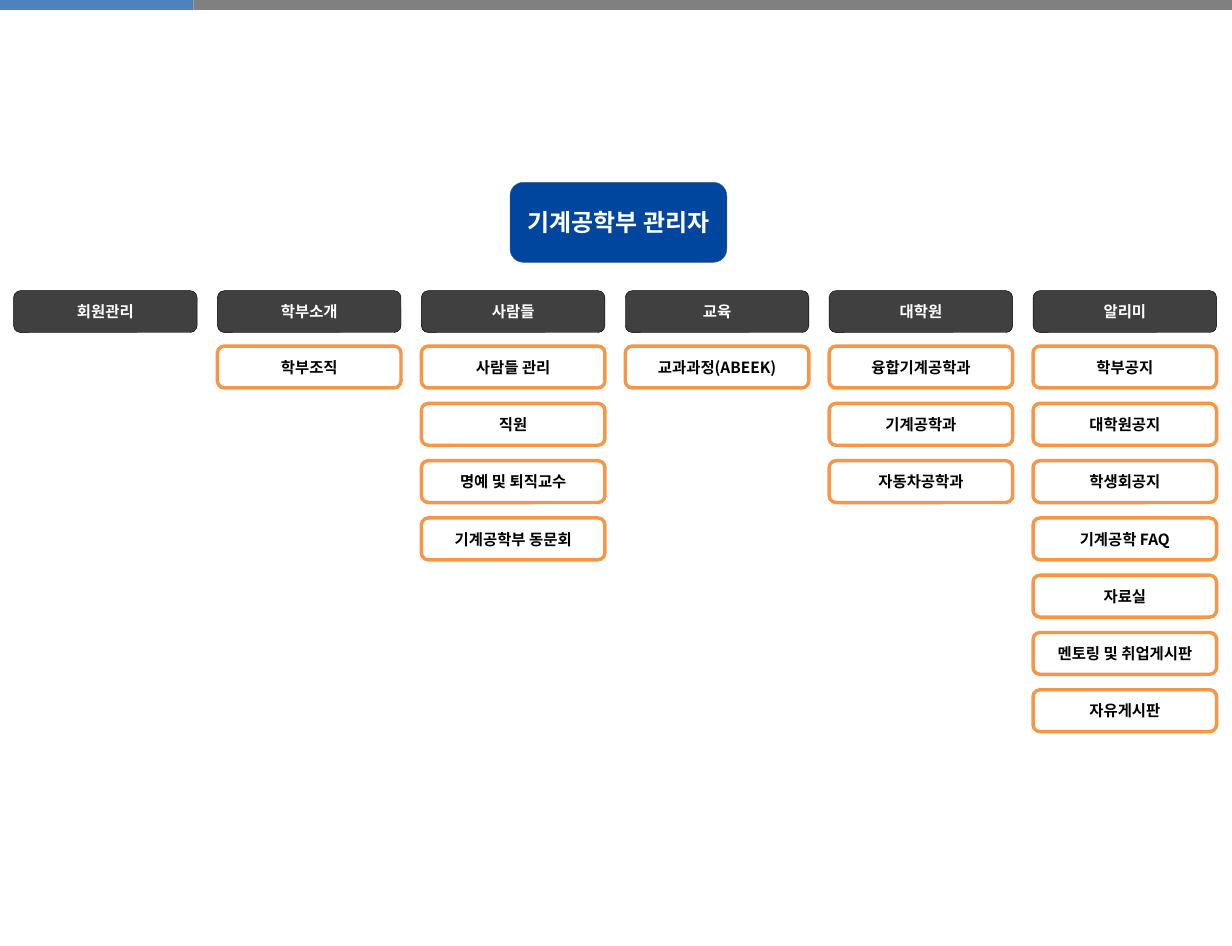
from lxml import etree
from pptx import Presentation
from pptx.dml.color import RGBColor
from pptx.enum.shapes import MSO_SHAPE
from pptx.enum.text import MSO_ANCHOR, PP_ALIGN
from pptx.oxml.ns import qn
from pptx.util import Inches, Pt

RECT, ROUNDED = MSO_SHAPE.RECTANGLE, MSO_SHAPE.ROUNDED_RECTANGLE
MIDDLE, CENTER = MSO_ANCHOR.MIDDLE, PP_ALIGN.CENTER
FONT = "Noto Sans CJK KR"


def color(value):
    return RGBColor.from_string(value)


def add_box(kind, left, top, width, height, fill, line=None, weight=0.25,
            text="", size=9, ink="FFFFFF"):
    box = slide.shapes.add_shape(kind, Inches(left), Inches(top), Inches(width), Inches(height))
    box.shadow.inherit = False
    box.fill.solid()
    box.fill.fore_color.rgb = color(fill)
    if line:
        box.line.color.rgb = color(line)
        box.line.width = Pt(weight)
    else:
        box.line.fill.background()
    if text:
        frame = box.text_frame
        frame.margin_left = frame.margin_right = Inches(0.05)
        frame.margin_top = frame.margin_bottom = 0
        frame.vertical_anchor = MIDDLE
        frame.text = text
        frame.paragraphs[0].alignment = CENTER
        font = frame.paragraphs[0].runs[0].font
        font.name, font.size, font.bold = FONT, Pt(size), True
        font.color.rgb = color(ink)
        # Hangul takes its typeface from the East Asian font
        etree.SubElement(font._element, qn("a:ea"), typeface=FONT)


prs = Presentation()
prs.slide_width, prs.slide_height = Inches(10), Inches(7.68)
slide = prs.slides.add_slide(prs.slide_layouts[6])

# Top band
add_box(RECT, 0, 0, 1.57, 0.08, "4F81BD")
add_box(RECT, 1.57, 0, 8.43, 0.08, "808080")

# Root of the site map
add_box(ROUNDED, 4.14, 1.48, 1.76, 0.65, "00469E", "3A5F8C", text="기계공학부 관리자", size=14)

# Menus, one column each, with their pages below
menus = [
    ("회원관리", []),
    ("학부소개", ["학부조직"]),
    ("사람들", ["사람들 관리", "직원", "명예 및 퇴직교수", "기계공학부 동문회"]),
    ("교육", ["교과과정(ABEEK)"]),
    ("대학원", ["융합기계공학과", "기계공학과", "자동차공학과"]),
    ("알리미", ["학부공지", "대학원공지", "학생회공지", "기계공학 FAQ", "자료실",
              "멘토링 및 취업게시판", "자유게시판"]),
]
MENU_LEFT, MENU_TOP, COLUMN_STEP = 0.11, 2.36, 1.655
PAGE_TOP, PAGE_STEP = 2.81, 0.465
WIDTH, HEIGHT = 1.49, 0.34

for column, (menu, pages) in enumerate(menus):
    left = MENU_LEFT + column * COLUMN_STEP
    add_box(ROUNDED, left, MENU_TOP, WIDTH, HEIGHT, "404040", "000000", text=menu)
    for row, page in enumerate(pages):
        add_box(ROUNDED, left, PAGE_TOP + row * PAGE_STEP, WIDTH, HEIGHT,
                "FFFFFF", "F79646", 2, page, ink="000000")

prs.save("out.pptx")
